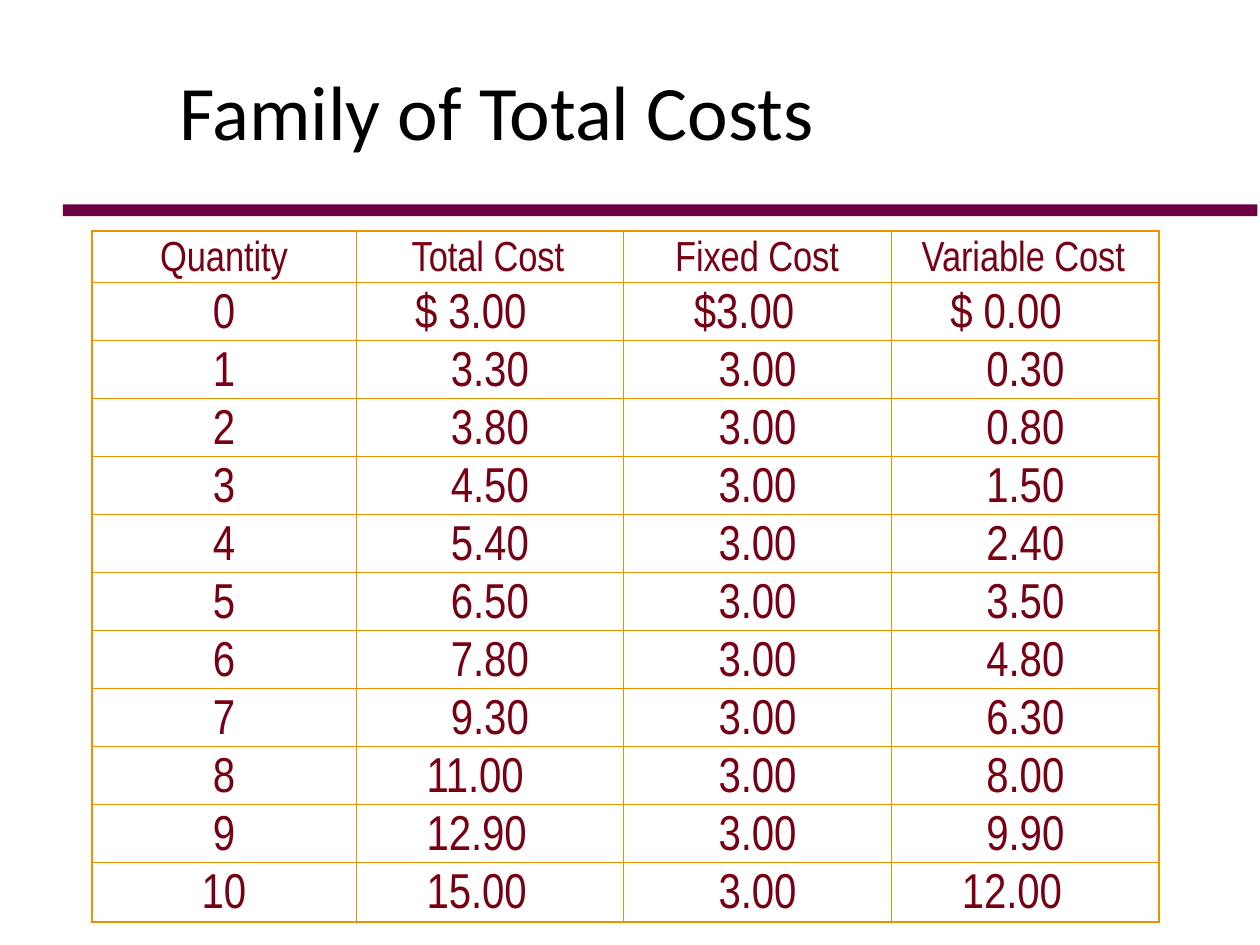
from lxml import etree
from pptx import Presentation
from pptx.dml.color import RGBColor
from pptx.enum.shapes import MSO_SHAPE
from pptx.enum.text import MSO_ANCHOR, PP_ALIGN
from pptx.oxml.ns import qn
from pptx.util import Cm, Pt

CENTER, LEFT = PP_ALIGN.CENTER, PP_ALIGN.LEFT
MIDDLE = MSO_ANCHOR.MIDDLE
RECTANGLE = MSO_SHAPE.RECTANGLE
BLACK = RGBColor(0x00, 0x00, 0x00)
WHITE = RGBColor(0xFF, 0xFF, 0xFF)
PLUM = RGBColor(0x6D, 0x00, 0x42)
MAROON = RGBColor(0x78, 0x00, 0x14)
ORANGE = RGBColor(0xEE, 0x90, 0x00)

# Content
TITLE = "Family of Total Costs"
HEADER = ("Quantity", "Total Cost", "Fixed Cost", "Variable Cost")
COSTS = [
    ("0", "$ 3.00", "$3.00", "$ 0.00"),
    ("1", "3.30", "3.00", "0.30"),
    ("2", "3.80", "3.00", "0.80"),
    ("3", "4.50", "3.00", "1.50"),
    ("4", "5.40", "3.00", "2.40"),
    ("5", "6.50", "3.00", "3.50"),
    ("6", "7.80", "3.00", "4.80"),
    ("7", "9.30", "3.00", "6.30"),
    ("8", "11.00", "3.00", "8.00"),
    ("9", "12.90", "3.00", "9.90"),
    ("10", "15.00", "3.00", "12.00"),
]
ROWS = [HEADER] + COSTS

# Table measures in cm
COL_WIDTHS = (5.33, 5.39, 5.4, 5.4)
ROW_HEIGHTS = [1.04] + [1.17] * (len(COSTS) - 1) + [1.19]
HEADER_INDENTS = (None, 1.12, 1.04, 0.61)


def indent_of(row, col):
    """Left indent in cm, or None for a centred cell."""
    if row == 0:
        return HEADER_INDENTS[col]
    text = ROWS[row][col]
    if text.startswith("$ "):
        return 1.19
    return 1.42 if len(text) == 5 else None


def format_run(r, font, size, color, spacing=-0.05):
    r.font.name, r.font.size = font, Pt(size)
    r.font.color.rgb = color
    r._r.get_or_add_rPr().set("spc", str(round(spacing * 100)))


def set_borders(cell, widths):
    tcPr = cell._tc.get_or_add_tcPr()
    for i, (side, width) in enumerate(widths.items()):
        ln = etree.Element(qn("a:ln" + side), w=str(Pt(width)))
        fill = etree.SubElement(ln, qn("a:solidFill"))
        etree.SubElement(fill, qn("a:srgbClr"), val=str(ORANGE))
        tcPr.insert(i, ln)


prs = Presentation()
prs.slide_width, prs.slide_height = Cm(25.4), Cm(19.05)
s = prs.slides.add_slide(prs.slide_layouts[6])
s.background.fill.solid()
s.background.fill.fore_color.rgb = WHITE

# Title
tf = s.shapes.add_textbox(Cm(2.13), Cm(1.24), Cm(15.75), Cm(1.93)).text_frame
tf.word_wrap = True
tf.vertical_anchor = MIDDLE
tf.margin_left = tf.margin_top = tf.margin_right = tf.margin_bottom = 0
tf.text = TITLE
p = tf.paragraphs[0]
p.alignment = CENTER
format_run(p.runs[0], "Calibri", 44, BLACK)

# Cost table
table = s.shapes.add_table(
    len(ROWS), len(HEADER), Cm(1.85), Cm(4.65),
    Cm(sum(COL_WIDTHS)), Cm(sum(ROW_HEIGHTS))).table
table.first_row = table.horz_banding = False
for column, width in zip(table.columns, COL_WIDTHS):
    column.width = Cm(width)
for row, height in zip(table.rows, ROW_HEIGHTS):
    row.height = Cm(height)

last_row, last_col = len(ROWS) - 1, len(HEADER) - 1
for i, texts in enumerate(ROWS):
    for j, text in enumerate(texts):
        cell = table.cell(i, j)
        cell.margin_left = cell.margin_top = 0
        cell.margin_right = cell.margin_bottom = 0
        cell.fill.background()
        set_borders(cell, {
            "L": 1.5 if j == 0 else 0.75,
            "R": 1.5 if j == last_col else 0.75,
            "T": 1.5 if i == 0 else 0.75,
            "B": 1.5 if i == last_row else 0.75,
        })
        cell.text = text
        p = cell.text_frame.paragraphs[0]
        p.line_spacing = Pt(28.2 if i == 0 else 32.3)
        indent = indent_of(i, j)
        p.alignment = CENTER if indent is None else LEFT
        if indent is not None:
            p._p.get_or_add_pPr().set("marL", str(Cm(indent)))
        format_run(p.runs[0], "Arial Narrow", 24 if i == 0 else 28, MAROON)

# Rule under the title
bar = s.shapes.add_shape(RECTANGLE, Cm(1.27), Cm(4.12), Cm(24.08), Cm(0.24))
bar.shadow.inherit = False
bar.fill.solid()
bar.fill.fore_color.rgb = PLUM
bar.line.fill.background()

prs.save("out.pptx")
